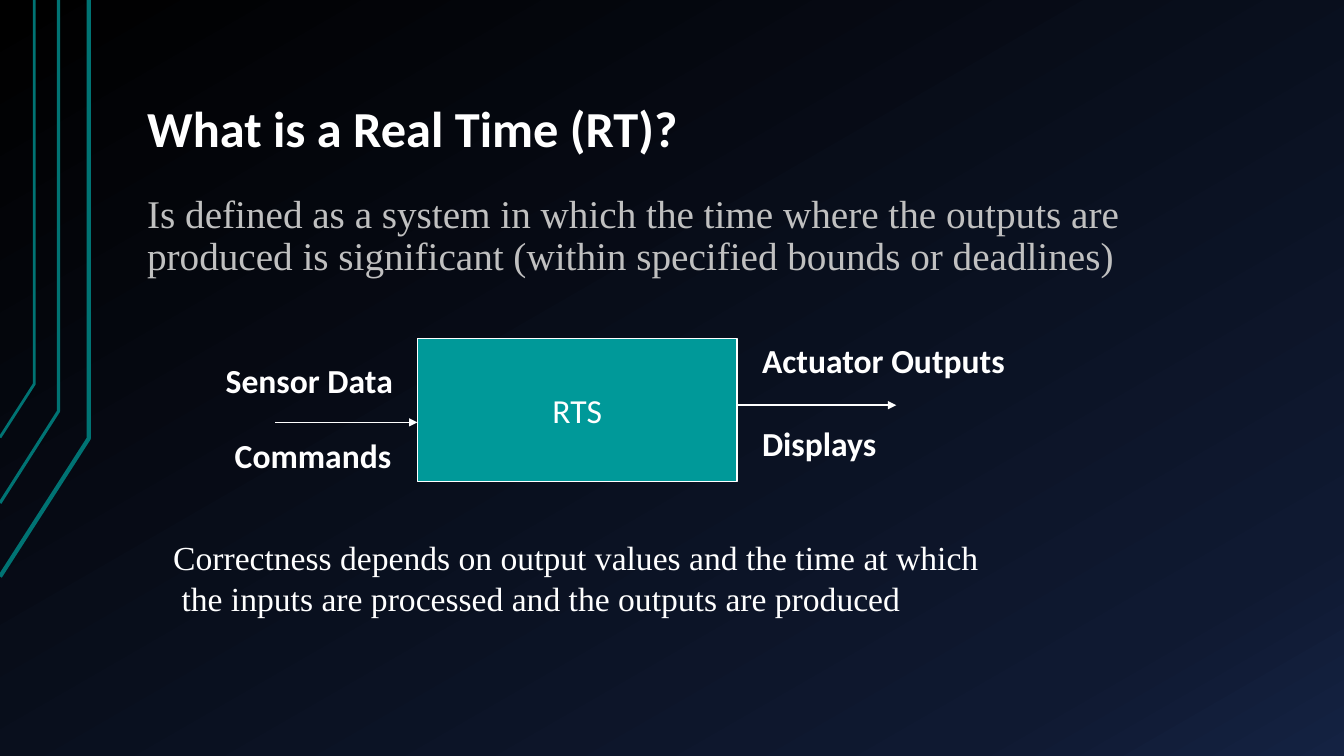
from dataclasses import dataclass

from lxml.etree import SubElement
from pptx import Presentation
from pptx.dml.color import RGBColor
from pptx.enum.shapes import MSO_CONNECTOR as Connector, MSO_SHAPE as Shape
from pptx.enum.text import MSO_ANCHOR as Anchor, PP_ALIGN as Align
from pptx.oxml.ns import qn
from pptx.util import Inches, Pt


@dataclass(frozen=True)
class Theme:
    white: str = "FFFFFF"
    grey: str = "C0C0C0"
    teal: str = "009999"
    trace: str = "007373"
    backdrop: tuple = ((0, "000000"), (85, "0F1931"), (100, "142242"))
    sans: str = "Calibri"
    serif: str = "Times New Roman"
    title: int = 36
    body: int = 28
    label: int = 24
    hairline: float = 1


THEME = Theme()


def rgb(value):
    return RGBColor.from_string(value)


def write(shape, *lines, size=THEME.label, font=THEME.sans, color=THEME.white, bold=False,
          align=Align.LEFT, anchor=Anchor.TOP, wrap=True, spacing=1.0, inset=(0.1, 0.05)):
    frame = shape.text_frame
    frame.word_wrap = wrap
    frame.vertical_anchor = anchor
    frame.margin_left = frame.margin_right = Inches(inset[0])
    frame.margin_top = frame.margin_bottom = Inches(inset[1])
    for index, line in enumerate(lines):
        para = frame.add_paragraph() if index else frame.paragraphs[0]
        para.alignment = align
        para.line_spacing = spacing
        span = para.add_run()
        span.text = line
        span.font.name = font
        span.font.size = Pt(size)
        span.font.bold = bold
        span.font.color.rgb = rgb(color)


def add_text(page, box, *lines, **style):
    shape = page.shapes.add_textbox(*map(Inches, box))
    write(shape, *lines, **style)


def add_arrow(page, start, length):
    x, y = start
    arrow = page.shapes.add_connector(
        Connector.STRAIGHT, Inches(x), Inches(y), Inches(x + length), Inches(y))
    arrow.line.color.rgb = rgb(THEME.white)
    arrow.line.width = Pt(THEME.hairline)
    SubElement(arrow.line._get_or_add_ln(), qn("a:tailEnd"), type="triangle")
    SubElement(arrow._element.spPr, qn("a:effectLst"))


def paint_background(page):
    fill = page.background.fill
    fill.gradient()
    fill.gradient_angle = 300
    stops = page._element.find(".//" + qn("a:gsLst"))
    for stop in list(stops):
        stops.remove(stop)
    for percent, color in THEME.backdrop:
        stop = SubElement(stops, qn("a:gs"), pos=str(percent * 1000))
        SubElement(stop, qn("a:srgbClr"), val=color)


def draw_traces(page, left, top):
    for x, bend, end, weight in ((0.88, 4.35, 5.72, 3), (0.58, 4.08, 4.99, 2.25),
                                 (0.34, 3.81, 4.34, 2)):
        outline = page.shapes.build_freeform(Inches(left), Inches(top + end))
        outline.add_line_segments(
            [(Inches(left + x), Inches(top + bend)), (Inches(left + x), Inches(top))],
            close=False)
        trace = outline.convert_to_shape()
        trace.shadow.inherit = False
        trace.fill.background()
        trace.line.color.rgb = rgb(THEME.trace)
        trace.line.width = Pt(weight)


def place_heading(page, box):
    left, top, width, height = box
    style = dict(spacing=0.9, inset=(0.13, 0.07))
    title = page.shapes.title
    title.left, title.top, title.width, title.height = map(Inches, (left, top, width, 1.34))
    write(title, "What is a Real Time (RT)?", size=THEME.title, bold=True,
          anchor=Anchor.BOTTOM, **style)
    add_text(page, (left, top + 1.56, width, height - 1.56),
             "Is defined as a system in which the time where the outputs are produced "
             "is significant (within specified bounds or deadlines)",
             size=THEME.body, font=THEME.serif, color=THEME.grey, **style)


def draw_system(page, box):
    left, top, width, height = box
    right = left + width
    system = page.shapes.add_shape(Shape.RECTANGLE, *map(Inches, box))
    system.shadow.inherit = False
    system.fill.solid()
    system.fill.fore_color.rgb = rgb(THEME.teal)
    system.line.color.rgb = rgb(THEME.white)
    system.line.width = Pt(THEME.hairline)
    write(system, "RTS", align=Align.CENTER, anchor=Anchor.MIDDLE, wrap=False)

    add_arrow(page, (left - 1.41, top + 0.83), 1.41)
    add_arrow(page, (right, top + 0.66), 1.58)
    for name, x, y, label_width in (("Sensor Data", left - 2, 0.16, 1.93),
                                    ("Commands", left - 1.91, 0.91, 1.83),
                                    ("Actuator Outputs", right + 0.15, -0.04, 2.73),
                                    ("Displays", right + 0.15, 0.79, 1.41)):
        add_text(page, (x, top + y, label_width, 0.5), name, bold=True, wrap=False)


def place_conclusion(page, box):
    add_text(page, box,
             "Correctness depends on output values and the time at which",
             " the inputs are processed and the outputs are produced", font=THEME.serif)


def main():
    deck = Presentation()
    deck.slide_width, deck.slide_height = Inches(13.33), Inches(7.5)
    page = deck.slides.add_slide(deck.slide_layouts.get_by_name("Title Only"))
    paint_background(page)
    draw_traces(page, 0, 0)
    place_heading(page, (1.33, 0.3, 11.33, 2.7))
    draw_system(page, (4.14, 3.36, 3.17, 1.42))
    place_conclusion(page, (1.62, 5.28, 10.47, 0.91))
    deck.save("out.pptx")


if __name__ == "__main__":
    main()
